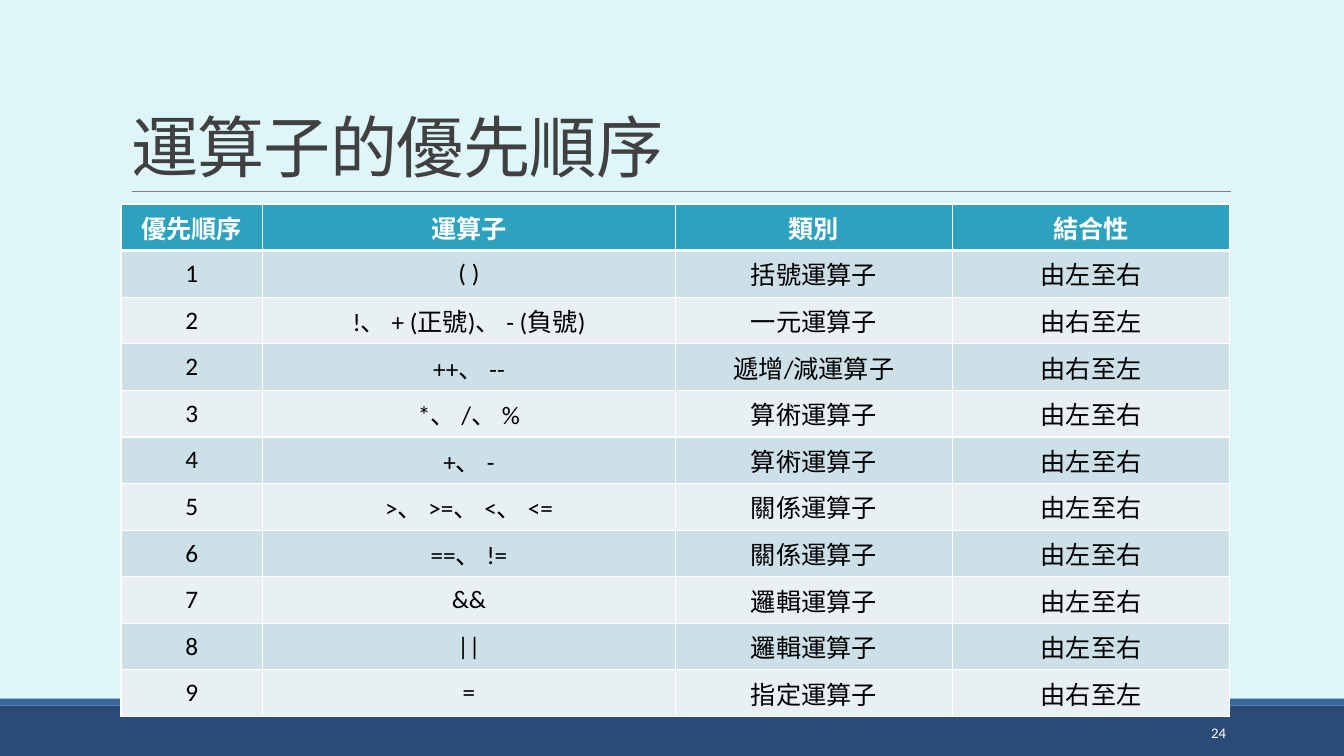
from dataclasses import dataclass

from lxml.etree import SubElement
from pptx import Presentation
from pptx.dml.color import RGBColor
from pptx.enum.shapes import MSO_CONNECTOR, MSO_SHAPE
from pptx.enum.text import MSO_ANCHOR, MSO_AUTO_SIZE, PP_ALIGN
from pptx.oxml.ns import qn
from pptx.util import Pt


@dataclass(frozen=True)
class Theme:
    background: str = "DEF5FA"
    footer: str = "2B4A76"
    footer_edge: str = "39639D"
    rule: str = "808080"
    title: str = "404040"
    header: str = "2DA2BF"
    bands: tuple = ("CDE0E8", "E8F0F4")
    text: str = "000000"
    white: str = "FFFFFF"
    title_size: float = 48
    table_size: float = 18
    number_size: float = 10.5
    latin: str = "Calibri"
    chinese: str = "Noto Sans CJK SC"


THEME = Theme()
WIDTH, HEIGHT = 960, 540
COLUMN_WIDTHS = (101.2, 294.8, 198, 198)
ROW_HEIGHT = 29.2
LEFT_TO_RIGHT, RIGHT_TO_LEFT = "由左至右", "由右至左"
HEADINGS = ("優先順序", "運算子", "類別", "結合性")
OPERATORS = (
    ("1", "( )", "括號運算子", LEFT_TO_RIGHT),
    ("2", "!、 + (正號)、 - (負號)", "一元運算子", RIGHT_TO_LEFT),
    ("2", "++、 --", "遞增/減運算子", RIGHT_TO_LEFT),
    ("3", "*、 /、 %", "算術運算子", LEFT_TO_RIGHT),
    ("4", "+、 -", "算術運算子", LEFT_TO_RIGHT),
    ("5", ">、 >=、 <、 <=", "關係運算子", LEFT_TO_RIGHT),
    ("6", "==、 !=", "關係運算子", LEFT_TO_RIGHT),
    ("7", "&&", "邏輯運算子", LEFT_TO_RIGHT),
    ("8", "||", "邏輯運算子", LEFT_TO_RIGHT),
    ("9", "=", "指定運算子", RIGHT_TO_LEFT),
)


def color(value):
    return RGBColor.from_string(value)


def write_text(frame, text, *, size, fill, latin=THEME.latin, bold=False,
               align=PP_ALIGN.LEFT, line_spacing=None, spacing=None):
    para = frame.paragraphs[0]
    para.alignment = align
    para.line_spacing = line_spacing
    span = para.add_run()
    span.text = text
    span.font.size = Pt(size)
    span.font.bold = bold
    span.font.color.rgb = color(fill)
    span.font.name = latin
    properties = span.font._element
    SubElement(properties, qn("a:ea"), typeface=THEME.chinese)
    if spacing is not None:
        properties.set("spc", str(round(spacing * 100)))


def add_band(page, top, height, fill):
    band = page.shapes.add_shape(MSO_SHAPE.RECTANGLE, 0, Pt(top), Pt(WIDTH), Pt(height))
    band.shadow.inherit = False
    band.fill.solid()
    band.fill.fore_color.rgb = color(fill)
    band.line.fill.background()


def add_rule(page, left, right, top):
    rule = page.shapes.add_connector(MSO_CONNECTOR.STRAIGHT, Pt(left), Pt(top), Pt(right), Pt(top))
    rule.line.color.rgb = color(THEME.rule)
    rule.line.width = Pt(0.5)
    SubElement(rule._element.spPr, qn("a:effectLst"))


def set_title(page, text):
    title = page.shapes.title
    title.left, title.top, title.width, title.height = Pt(86.4), Pt(22.3), Pt(792), Pt(114.5)
    frame = title.text_frame
    frame.auto_size = MSO_AUTO_SIZE.NONE
    frame.vertical_anchor = MSO_ANCHOR.BOTTOM
    write_text(frame, text, size=THEME.title_size, fill=THEME.title,
               latin=THEME.chinese, line_spacing=0.85, spacing=-0.5)


def set_borders(cell, top, bottom):
    properties = cell._tc.get_or_add_tcPr()
    for side, width in (("L", 1), ("R", 1), ("T", top), ("B", bottom)):
        line = SubElement(properties, qn(f"a:ln{side}"), w=str(Pt(width)))
        fill = SubElement(line, qn("a:solidFill"))
        SubElement(fill, qn("a:srgbClr"), val=THEME.white)


def add_operator_table(page):
    rows = (HEADINGS, *OPERATORS)
    table = page.shapes.add_table(
        len(rows), len(HEADINGS), Pt(86.4), Pt(145.7),
        Pt(sum(COLUMN_WIDTHS)), Pt(ROW_HEIGHT * len(rows))).table
    for column, width in zip(table.columns, COLUMN_WIDTHS):
        column.width = Pt(width)
    for index, texts in enumerate(rows):
        table.rows[index].height = Pt(ROW_HEIGHT)
        heading = index == 0
        fill = THEME.header if heading else THEME.bands[(index - 1) % 2]
        for cell, text in zip(table.rows[index].cells, texts):
            # The heading is set off by a thicker line
            set_borders(cell, top=3 if index == 1 else 1, bottom=3 if heading else 1)
            cell.fill.solid()
            cell.fill.fore_color.rgb = color(fill)
            cell.vertical_anchor = MSO_ANCHOR.MIDDLE
            write_text(cell.text_frame, text, size=THEME.table_size, bold=heading,
                       fill=THEME.white if heading else THEME.text, align=PP_ALIGN.CENTER)


def add_page_number(page, number):
    box = page.shapes.add_textbox(Pt(779.8), Pt(508.6), Pt(103), Pt(28.8))
    frame = box.text_frame
    frame.word_wrap = True
    frame.vertical_anchor = MSO_ANCHOR.MIDDLE
    write_text(frame, number, size=THEME.number_size, fill=THEME.white, align=PP_ALIGN.RIGHT)


def main():
    deck = Presentation()
    deck.slide_width, deck.slide_height = Pt(WIDTH), Pt(HEIGHT)
    page = deck.slides.add_slide(deck.slide_layouts[5])

    # Background, footer bands and title rule
    page.background.fill.solid()
    page.background.fill.fore_color.rgb = color(THEME.background)
    add_band(page, 504, 36, THEME.footer)
    add_band(page, 499, 5, THEME.footer_edge)
    add_rule(page, 94.3, 879, 136.8)

    # Content
    set_title(page, "運算子的優先順序")
    add_operator_table(page)
    add_page_number(page, "24")

    deck.save("out.pptx")


if __name__ == "__main__":
    main()
